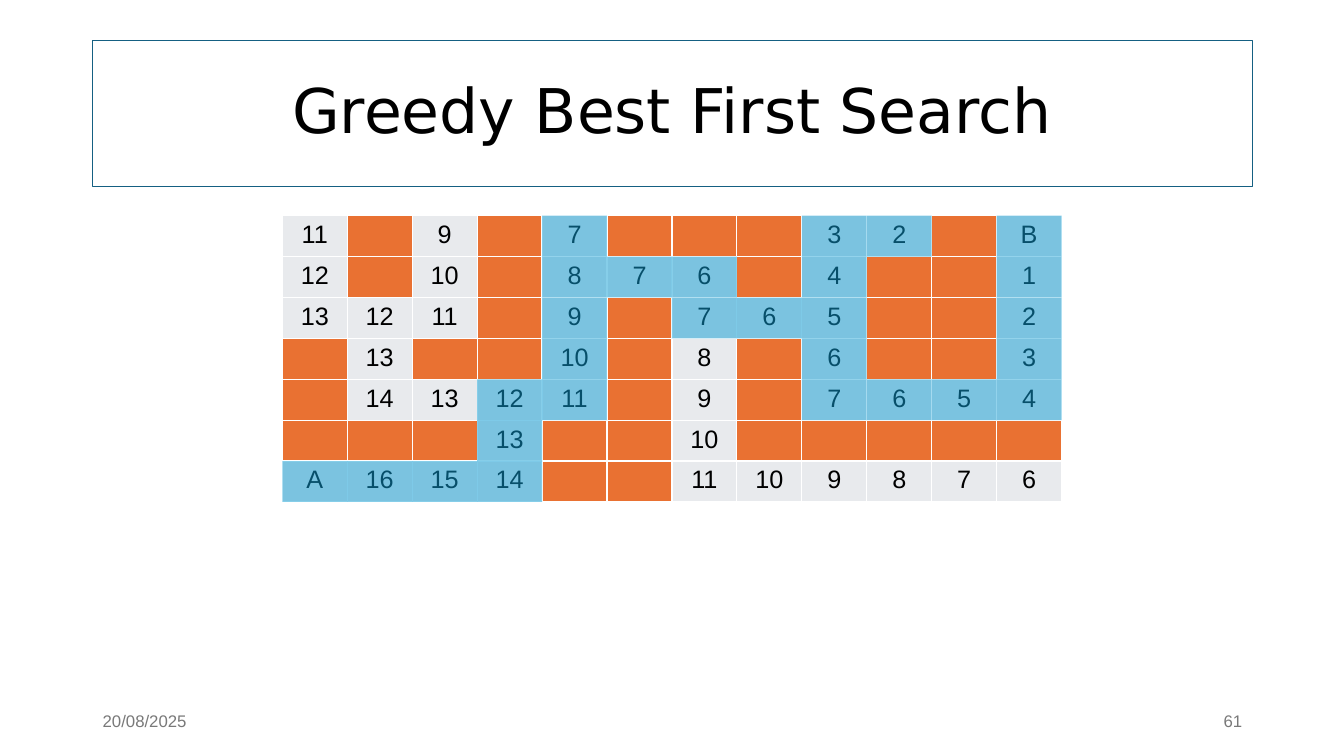
from lxml import etree
from pptx import Presentation
from pptx import util as u
from pptx.dml.color import RGBColor
from pptx.enum import shapes, text
from pptx.oxml import ns

MAZE = [
    "11 . 9 . 7* . . . 3* 2* . B*",
    "12 . 10 . 8* 7* 6* . 4* . . 1*",
    "13 12 11 . 9* . 7* 6* 5* . . 2*",
    ". 13 . . 10* . 8 . 6* . . 3*",
    ". 14 13 12* 11* . 9 . 7* 6* 5* 4*",
    ". . . 13* . . 10 . . . . .",
    "A* 16* 15* 14* . . 11 10 9 8 7 6",
]
MAZE_LEFT, MAZE_TOP, MAZE_WIDTH, MAZE_HEIGHT = 2.8, 2.14, 7.73, 2.84


def paint(color_format, color):
    color_format.rgb = RGBColor.from_string(color)


def write(frame, words, align, size, font, color):
    frame.text = words
    para = frame.paragraphs[0]
    para.alignment = align
    para.font.size = u.Pt(size)
    para.font.name = font
    paint(para.font.color, color)


deck = Presentation()
deck.slide_width, deck.slide_height = u.Inches(13.33), u.Inches(7.5)
page = deck.slides.add_slide(deck.slide_layouts[5])

title = page.shapes.title
title.left, title.top = u.Inches(0.92), u.Inches(0.4)
title.width, title.height = u.Inches(11.5), u.Inches(1.45)
paint(title.line.color, "156082")
title.line.width = u.Pt(0.75)
title.text_frame.vertical_anchor = text.MSO_ANCHOR.MIDDLE
write(title.text_frame, "Greedy Best First Search", text.PP_ALIGN.CENTER, 44, "DejaVu Sans", "000000")
title.text_frame.paragraphs[0].line_spacing = 0.9

maze = [row.split() for row in MAZE]
cell_width = MAZE_WIDTH / len(maze[0])
cell_height = MAZE_HEIGHT / len(maze)
table = page.shapes.add_table(
    len(maze), len(maze[0]),
    u.Inches(MAZE_LEFT), u.Inches(MAZE_TOP), u.Inches(MAZE_WIDTH), u.Inches(MAZE_HEIGHT),
).table

for row_index, row in enumerate(maze):
    for column_index, mark in enumerate(row):
        cell = table.cell(row_index, column_index)
        properties = cell._tc.get_or_add_tcPr()
        for side in ("lnL", "lnR", "lnT", "lnB"):
            border = etree.SubElement(properties, ns.qn("a:" + side), w=str(u.Pt(1)))
            border_fill = etree.SubElement(border, ns.qn("a:solidFill"))
            etree.SubElement(border_fill, ns.qn("a:srgbClr"), val="FFFFFF")
        cell.fill.solid()
        paint(cell.fill.fore_color, "E97132" if mark == "." else "E8EAED")
        if mark != ".":
            write(cell.text_frame, mark.rstrip("*"), text.PP_ALIGN.CENTER, 18, "Arial", "000000")
        if mark.endswith("*"):
            step = page.shapes.add_shape(
                shapes.MSO_SHAPE.RECTANGLE,
                u.Inches(MAZE_LEFT + column_index * cell_width),
                u.Inches(MAZE_TOP + row_index * cell_height),
                u.Inches(cell_width), u.Inches(cell_height),
            )
            step.shadow.inherit = False
            step.line.fill.background()
            step.fill.solid()
            paint(step.fill.fore_color, "0F9ED5")
            step_color = step.fill._xPr.find(ns.qn("a:solidFill"))[0]
            etree.SubElement(step_color, ns.qn("a:alpha"), val="50000")

for words, left, align in (
    ("20/08/2025", 0.92, text.PP_ALIGN.LEFT),
    ("61", 9.42, text.PP_ALIGN.RIGHT),
):
    box = page.shapes.add_textbox(u.Inches(left), u.Inches(6.95), u.Inches(3), u.Inches(0.4))
    box.text_frame.word_wrap = True
    box.text_frame.vertical_anchor = text.MSO_ANCHOR.MIDDLE
    write(box.text_frame, words, align, 12, "Arial", "797979")

deck.save("out.pptx")
